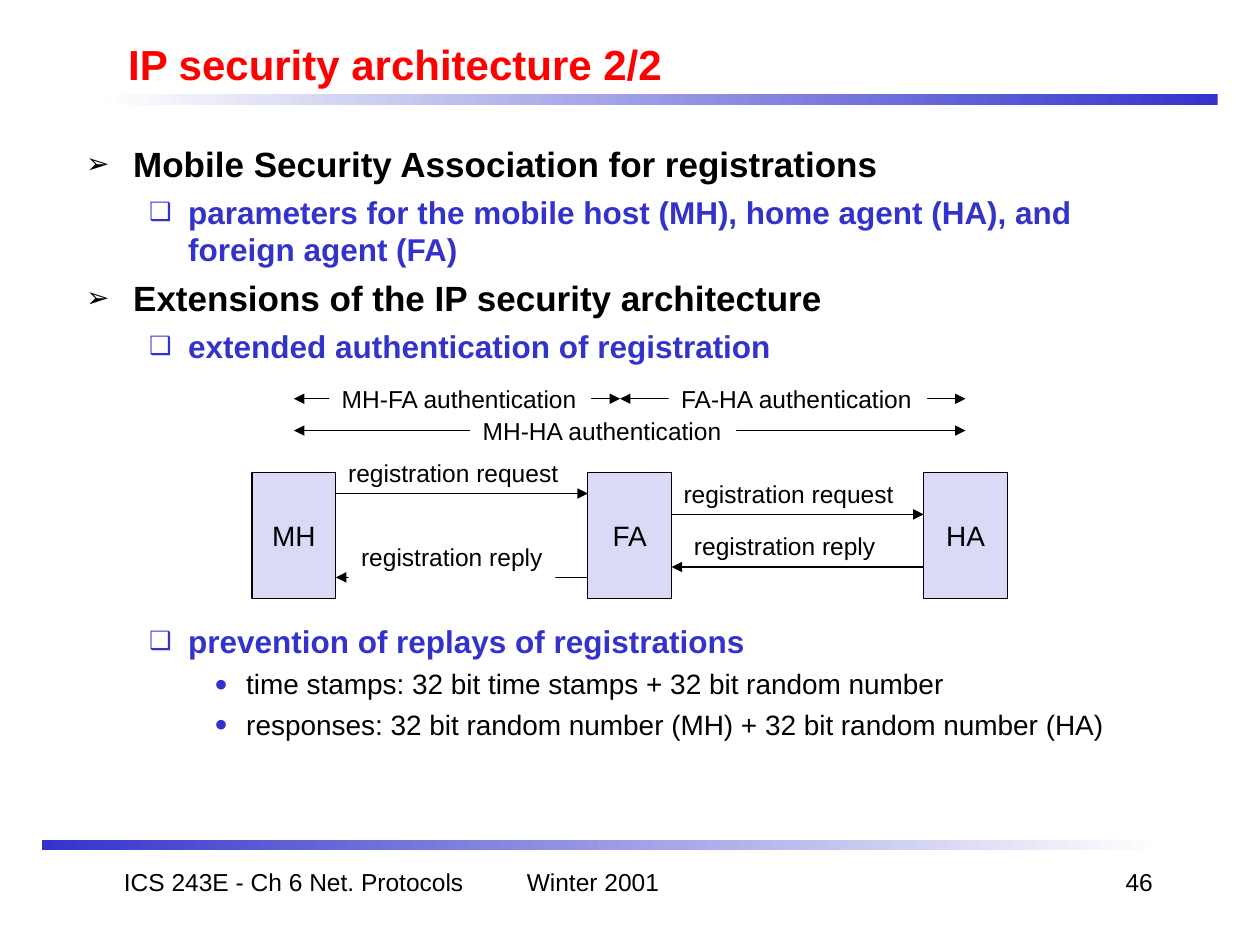
from lxml import etree
from pptx import Presentation
from pptx import util as u
from pptx.dml.color import RGBColor
from pptx.enum import shapes, text
from pptx.oxml.ns import qn

COLORS = {
    "blue": "3333CC", "pale": "DADAF6", "fade": "FEFEFE",
    "white": "FFFFFF", "black": "000000", "red": "FF0000",
}
FONT = "Arial"

# Per list level: size, bold, colour, bullet, bullet colour, left margin, hang, space before
LEVELS = [
    (20, True, "black", "➢", "black", 0.95, 0.95, 5),
    (18, True, "blue", "❑", "blue", 2.06, 0.79, 4.5),
    (16, False, "black", "●", "blue", 3.23, 0.64, 4),
]
DIAGRAM_GAP = 147  # points kept free for the diagram between two list items
BULLETS = [
    (0, "Mobile Security Association for registrations", None),
    (1, "parameters for the mobile host (MH), home agent (HA), and foreign agent (FA)", None),
    (0, "Extensions of the IP security architecture", None),
    (1, "extended authentication of registration", None),
    (1, "prevention of replays of registrations", DIAGRAM_GAP),
    (2, "time stamps: 32 bit time stamps + 32 bit random number", None),
    (2, "responses: 32 bit random number (MH) + 32 bit random number (HA)", None),
]

# Diagram grid in centimetres
BOX_WIDTH, BOX_HEIGHT, BOX_TOP = 1.69, 2.54, 9.53
NODES = {name: 5.08 + 6.77 * i for i, name in enumerate(["MH", "FA", "HA"])}
RIGHT = {name: left + BOX_WIDTH for name, left in NODES.items()}
CENTER = {name: left + BOX_WIDTH / 2 for name, left in NODES.items()}
SPLIT = 12.5  # where the two upper spans meet

# Labels under the arrows, then labels that cover part of them: text, left, top, width
BACK_LABELS = [
    ("registration reply", 13.74, 10.59, 4.17),
    ("registration request", 13.53, 9.53, 4.75),
    ("registration request", 6.77, 9.1, 4.75),
]
FRONT_LABELS = [
    ("registration reply", 7.03, 10.8, 4.17),
    ("MH-HA authentication", 9.48, 8.26, 5.36),
    ("MH-FA authentication", 6.64, 7.62, 5.28),
    ("FA-HA authentication", 13.48, 7.62, 5.21),
]
# Arrows: start x, end x, y, two-headed
ARROWS = [
    (RIGHT["MH"], NODES["FA"], 9.95, False),
    (NODES["FA"], RIGHT["MH"], 11.64, False),
    (NODES["HA"], RIGHT["FA"], 11.43, False),
    (RIGHT["FA"], NODES["HA"], 10.37, False),
    (CENTER["MH"], CENTER["HA"], 8.68, True),
    (CENTER["MH"], SPLIT, 8.04, True),
    (SPLIT, CENTER["HA"], 8.04, True),
]
FOOTERS = [
    ("ICS 243E - Ch 6 Net. Protocols", 1.9, 8.05, text.PP_ALIGN.CENTER),
    ("46", 18.2, 5.29, text.PP_ALIGN.RIGHT),
    ("Winter 2001", 10.37, 5.29, text.PP_ALIGN.LEFT),
]


def rgb(name):
    return RGBColor.from_string(COLORS[name])


def place(shape, left, top, width, height):
    shape.left, shape.top = u.Cm(left), u.Cm(top)
    shape.width, shape.height = u.Cm(width), u.Cm(height)


def add_run(paragraph, words, size, color="black", bold=False):
    run = paragraph.add_run()
    run.text = words
    run.font.name, run.font.size, run.font.bold = FONT, u.Pt(size), bold
    run.font.color.rgb = rgb(color)


def add_rectangle(slide, left, top, width, height):
    shape = slide.shapes.add_shape(
        shapes.MSO_SHAPE.RECTANGLE, u.Cm(left), u.Cm(top), u.Cm(width), u.Cm(height))
    shape.shadow.inherit = False
    shape.line.fill.background()
    return shape


def add_bar(slide, left, top, first, last):
    bar = add_rectangle(slide, left, top, 22.43, 0.21)
    bar.fill.gradient()
    bar.fill.gradient_angle = 180
    for stop, color in zip(bar.fill.gradient_stops, (first, last)):
        stop.color.rgb = rgb(color)


def add_label(slide, words, left, top, width):
    label = add_rectangle(slide, left, top, width, 0.86)
    label.fill.solid()
    label.fill.fore_color.rgb = rgb("white")
    frame = label.text_frame
    frame.word_wrap = False
    frame.auto_size = text.MSO_AUTO_SIZE.SHAPE_TO_FIT_TEXT
    frame.vertical_anchor = text.MSO_ANCHOR.TOP
    frame.paragraphs[0].alignment = text.PP_ALIGN.LEFT
    add_run(frame.paragraphs[0], words, 14)


def add_node(slide, name, left):
    node = add_rectangle(slide, left, BOX_TOP, BOX_WIDTH, BOX_HEIGHT)
    node.fill.solid()
    node.fill.fore_color.rgb = rgb("pale")
    node.line.color.rgb = rgb("black")
    node.line.width = u.Pt(0.75)
    frame = node.text_frame
    frame.word_wrap = False
    frame.vertical_anchor = text.MSO_ANCHOR.MIDDLE
    frame.paragraphs[0].alignment = text.PP_ALIGN.CENTER
    add_run(frame.paragraphs[0], name, 16)


def add_arrow(slide, start, end, y, two_headed):
    arrow = slide.shapes.add_connector(
        shapes.MSO_CONNECTOR.STRAIGHT, u.Cm(start), u.Cm(y), u.Cm(end), u.Cm(y))
    arrow.line.color.rgb = rgb("black")
    arrow.line.width = u.Pt(0.75)
    line = arrow.line._get_or_add_ln()
    for tag in (["a:headEnd"] if two_headed else []) + ["a:tailEnd"]:
        etree.SubElement(line, qn(tag), type="triangle")
    etree.SubElement(arrow._element.spPr, qn("a:effectLst"))


def add_bullet(paragraph, character, color, left, hang):
    properties = paragraph._p.get_or_add_pPr()
    properties.set("marL", str(u.Cm(left)))
    properties.set("indent", str(-u.Cm(hang)))
    bullet_color = etree.SubElement(properties, qn("a:buClr"))
    etree.SubElement(bullet_color, qn("a:srgbClr"), val=COLORS[color])
    etree.SubElement(properties, qn("a:buSzPct"), val="80000")
    etree.SubElement(properties, qn("a:buChar"), char=character)


def fill_title(title):
    place(title, 2.33, 0.64, 21.59, 1.27)
    frame = title.text_frame
    frame.auto_size = text.MSO_AUTO_SIZE.NONE
    frame.vertical_anchor = text.MSO_ANCHOR.MIDDLE
    frame.paragraphs[0].alignment = text.PP_ALIGN.LEFT
    add_run(frame.paragraphs[0], "IP security architecture 2/2", 24, "red", True)


def fill_body(body):
    place(body, 1.48, 2.75, 21.59, 14.18)
    frame = body.text_frame
    frame.auto_size = text.MSO_AUTO_SIZE.NONE
    for i, (level, words, gap) in enumerate(BULLETS):
        size, bold, color, character, bullet_color, left, hang, before = LEVELS[level]
        paragraph = frame.add_paragraph() if i else frame.paragraphs[0]
        paragraph.level = level
        add_bullet(paragraph, character, bullet_color, left, hang)
        paragraph.space_before = u.Pt((gap or before) if i else 0)
        add_run(paragraph, words, size, color, bold)


def add_footer(slide, words, left, width, alignment):
    box = slide.shapes.add_textbox(u.Cm(left), u.Cm(17.36), u.Cm(width), u.Cm(1.27))
    box.text_frame.word_wrap = True
    paragraph = box.text_frame.paragraphs[0]
    paragraph.alignment = alignment
    add_run(paragraph, words, 14)


def main():
    presentation = Presentation()
    presentation.slide_width, presentation.slide_height = u.Cm(25.4), u.Cm(19.05)
    slide = presentation.slides.add_slide(presentation.slide_layouts[1])

    # Title, list and the two fading bars
    fill_title(slide.shapes.title)
    fill_body(slide.placeholders[1])
    add_bar(slide, 2.12, 1.9, "blue", "fade")
    add_bar(slide, 0.85, 16.93, "fade", "blue")

    # Registration diagram, from back to front
    for label in BACK_LABELS:
        add_label(slide, *label)
    for name, left in NODES.items():
        add_node(slide, name, left)
    for arrow in ARROWS:
        add_arrow(slide, *arrow)
    for label in FRONT_LABELS:
        add_label(slide, *label)

    # Footer
    for footer in FOOTERS:
        add_footer(slide, *footer)
    presentation.save("out.pptx")


if __name__ == "__main__":
    main()
